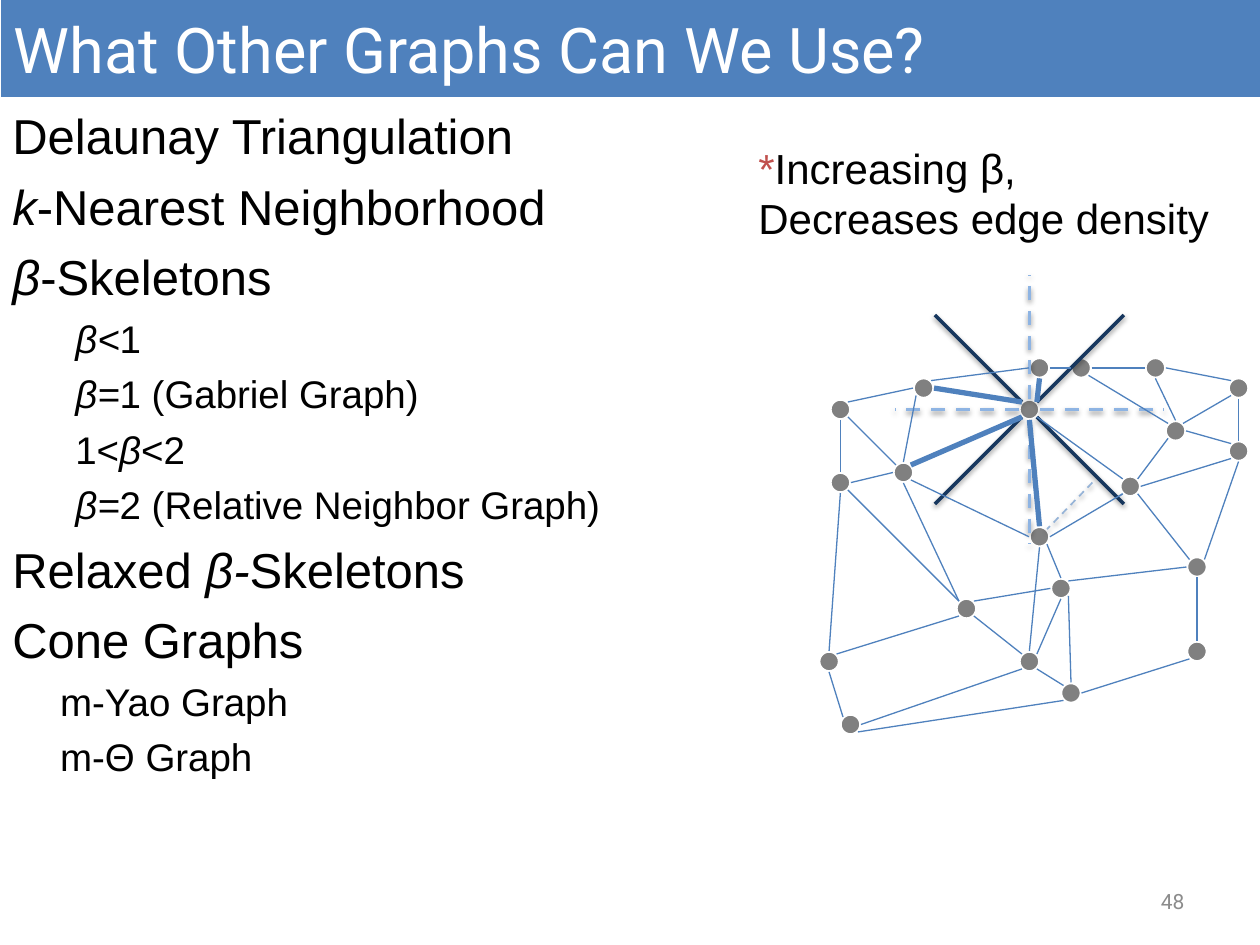
import pptx
import pptx.dml.color
import pptx.enum.dml
import pptx.enum.shapes
import pptx.enum.text
import pptx.oxml
import pptx.oxml.ns
import pptx.util

Inches = pptx.util.Inches
Pt = pptx.util.Pt

RADIUS = 1 / 12
DIAGONAL = RADIUS * 0.71
SITES = {
    "n": (0, -RADIUS), "s": (0, RADIUS), "w": (-RADIUS, 0), "e": (RADIUS, 0),
    "nw": (-DIAGONAL, -DIAGONAL), "ne": (DIAGONAL, -DIAGONAL),
    "sw": (-DIAGONAL, DIAGONAL), "se": (DIAGONAL, DIAGONAL),
}
NODES = {
    "A": (9.5, 4.5), "B": (8.42, 4.67), "C": (7.67, 4.83), "D": (8.5, 5.5),
    "E": (9.5, 5.17), "F": (6.67, 3.25), "G": (7.33, 3.08), "H": (8.25, 2.92),
    "I": (8.58, 2.92), "J": (9.83, 3.08), "K": (9.33, 3.42), "L": (7.17, 3.75),
    "M": (8.25, 4.26), "N": (8.97, 3.86), "O": (8.17, 3.25), "P": (9.17, 2.92),
    "Q": (8.17, 5.25), "R": (6.67, 3.83), "S": (6.58, 5.25), "T": (6.75, 5.75),
    "U": (9.83, 3.58),
}
YAO_EDGES = ["Ge-Onw", "One-Hs", "Os-Mn", "Osw-Lne"]
EDGES = YAO_EDGES + """
    Nsw-Me Mse-Bn Ms-Qn Gne-Hw Gw-Fne Fs-Rn Lw-Re Cnw-Rse Sn-Rs Lnw-Fse
    Gsw-Ln Mw-Lse He-Iw Ie-Pw Ise-Knw Ps-Kn Pe-Jnw Js-Un Ke-Unw Usw-Ne
    Kne-Jsw Ksw-Nne Nnw-Ose Anw-Nse Us-Ane As-En Aw-Bne Dn-Bse Qne-Bs Esw-De
    Dnw-Qse Dsw-Tse Ss-Tnw Csw-Sne Qnw-Cse Bw-Cne Ls-Cnw Qsw-Te
""".split()

HEADING, SUBITEM, CONE_ITEM = (28, 0.38, -0.38), (22, 0.88, -0.38), (22, 0.38, 0)
TOPICS = [
    (HEADING, [("Delaunay Triangulation", False)]),
    (HEADING, [("k", True), ("-Nearest Neighborhood", False)]),
    (HEADING, [("β", True), ("-Skeletons", False)]),
    (SUBITEM, [("β<", True), ("1", False)]),
    (SUBITEM, [("β=", True), ("1 (Gabriel Graph)", False)]),
    (SUBITEM, [("1<", False), ("β", True), ("<2", False)]),
    (SUBITEM, [("β=", True), ("2 (Relative Neighbor Graph)", False)]),
    (HEADING, [("Relaxed ", False), ("β-", True), ("Skeletons", False)]),
    (HEADING, [("Cone Graphs", False)]),
    (CONE_ITEM, [("m-Yao Graph", False)]),
    (CONE_ITEM, [("m-Θ Graph", False)]),
]


def color(value):
    return pptx.dml.color.RGBColor.from_string(value)


def site_point(end):
    x, y = NODES[end[0]]
    dx, dy = SITES[end[1:]]
    return x + dx, y + dy


class SlideBuilder:
    body_font = "Arial"
    title_font = "Roboto"
    blue = "4F81BD"
    pale_blue = "8EB4E3"
    navy = "17375E"
    gray = "808080"
    black = "000000"
    white = "FFFFFF"

    def __init__(self, slide):
        self.slide = slide

    def run(self, paragraph, text, size, font, fill, italic=False):
        run = paragraph.add_run()
        run.text = text
        run.font.size = Pt(size)
        run.font.name = font
        run.font.italic = italic
        run.font.color.rgb = color(fill)

    def text_box(self, left, top, width, height, wrap=True):
        shape = self.slide.shapes.add_textbox(
            Inches(left), Inches(top), Inches(width), Inches(height))
        shape.text_frame.word_wrap = wrap
        return shape.text_frame

    def shape(self, kind, left, top, width, height, fill):
        shape = self.slide.shapes.add_shape(
            kind, Inches(left), Inches(top), Inches(width), Inches(height))
        shape.shadow.inherit = False
        shape.fill.solid()
        shape.fill.fore_color.rgb = color(fill)
        shape.line.fill.background()
        return shape

    def topics(self, items):
        frame = self.text_box(0, 0.75, 10, 5.5)
        frame.margin_top = Inches(0.09)
        for index, ((size, margin, indent), parts) in enumerate(items):
            paragraph = frame.add_paragraph() if index else frame.paragraphs[0]
            properties = paragraph._p.get_or_add_pPr()
            properties.set("marL", str(Inches(margin)))
            properties.set("indent", str(Inches(indent)))
            if index:
                paragraph.space_before = Pt(round(size * 0.24, 1))
            for text, italic in parts:
                self.run(paragraph, text, size, self.body_font, self.black, italic)

    def note(self):
        frame = self.text_box(5.92, 1.08, 3.82, 0.91, wrap=False)
        paragraph = frame.paragraphs[0]
        self.run(paragraph, "*", 24, self.body_font, "C0504D")
        self.run(paragraph, "Increasing β,", 24, self.body_font, self.black)
        self.run(frame.add_paragraph(), "Decreases edge density", 24,
                 self.body_font, self.black)

    def title(self, text):
        banner = self.shape(pptx.enum.shapes.MSO_SHAPE.RECTANGLE,
                            0.01, 0, 10, 0.77, self.blue)
        frame = banner.text_frame
        frame.vertical_anchor = pptx.enum.text.MSO_ANCHOR.MIDDLE
        paragraph = frame.paragraphs[0]
        paragraph.alignment = pptx.enum.text.PP_ALIGN.LEFT
        self.run(paragraph, text, 36, self.title_font, self.white)

    def page_number(self, text):
        frame = self.text_box(7.17, 6.95, 2.33, 0.4)
        frame.vertical_anchor = pptx.enum.text.MSO_ANCHOR.MIDDLE
        paragraph = frame.paragraphs[0]
        paragraph.alignment = pptx.enum.text.PP_ALIGN.RIGHT
        self.run(paragraph, text, 12, self.title_font, "8C8C8C")

    def node(self, x, y):
        dot = self.shape(pptx.enum.shapes.MSO_SHAPE.OVAL, x - RADIUS, y - RADIUS,
                         2 * RADIUS, 2 * RADIUS, self.gray)
        dot.line.color.rgb = color(self.white)
        dot.line.width = Pt(2)

    def line(self, start, end, stroke, width, dashed=False, shadow=False):
        connector = self.slide.shapes.add_connector(
            pptx.enum.shapes.MSO_CONNECTOR.STRAIGHT,
            *(Inches(value) for value in (*start, *end)))
        connector.line.color.rgb = color(stroke)
        connector.line.width = Pt(width)
        if dashed:
            connector.line.dash_style = pptx.enum.dml.MSO_LINE.DASH
        effect = ""
        if shadow:
            effect = (f'<a:outerShdw blurRad="{Pt(3.1)}" dist="{Pt(1.6)}" dir="5400000">'
                      '<a:srgbClr val="000000"><a:alpha val="38000"/></a:srgbClr>'
                      '</a:outerShdw>')
        namespace = pptx.oxml.ns.nsdecls("a")
        connector._element.spPr.append(pptx.oxml.parse_xml(
            f"<a:effectLst {namespace}>{effect}</a:effectLst>"))

    def edge(self, name, width):
        start, end = name.split("-")
        self.line(site_point(start), site_point(end), self.blue, width)

    def cones(self, center):
        x, y = center
        for site, reach in (("n", 1.07), ("e", 1.07), ("w", 1.07), ("s", 1.07),
                            ("ne", 0.75), ("nw", 0.75), ("se", 0.75), ("sw", 0.75)):
            dx, dy = SITES[site]
            scale = reach / max(abs(dx), abs(dy))
            straight = len(site) == 1
            self.line((x + dx, y + dy), (x + dx * scale, y + dy * scale),
                      self.pale_blue if straight else self.navy, 2, straight, True)


def main():
    presentation = pptx.Presentation()
    presentation.slide_width = Inches(10)
    presentation.slide_height = Inches(7.5)
    builder = SlideBuilder(presentation.slides.add_slide(presentation.slide_layouts[6]))
    builder.topics(TOPICS)
    for center in NODES.values():
        builder.node(*center)
    builder.note()
    builder.title("What Other Graphs Can We Use?")
    builder.cones(NODES["O"])
    for name in YAO_EDGES:
        builder.edge(name, 3)
    for start, end in (((8.91, 3.92), (8.88, 3.94)), ((8.67, 3.83), (8.31, 4.2))):
        builder.line(start, end, "95B3D7", 1, dashed=True, shadow=True)
    for name in EDGES:
        builder.edge(name, 0.75)
    builder.page_number("48")
    presentation.save("out.pptx")


if __name__ == "__main__":
    main()
